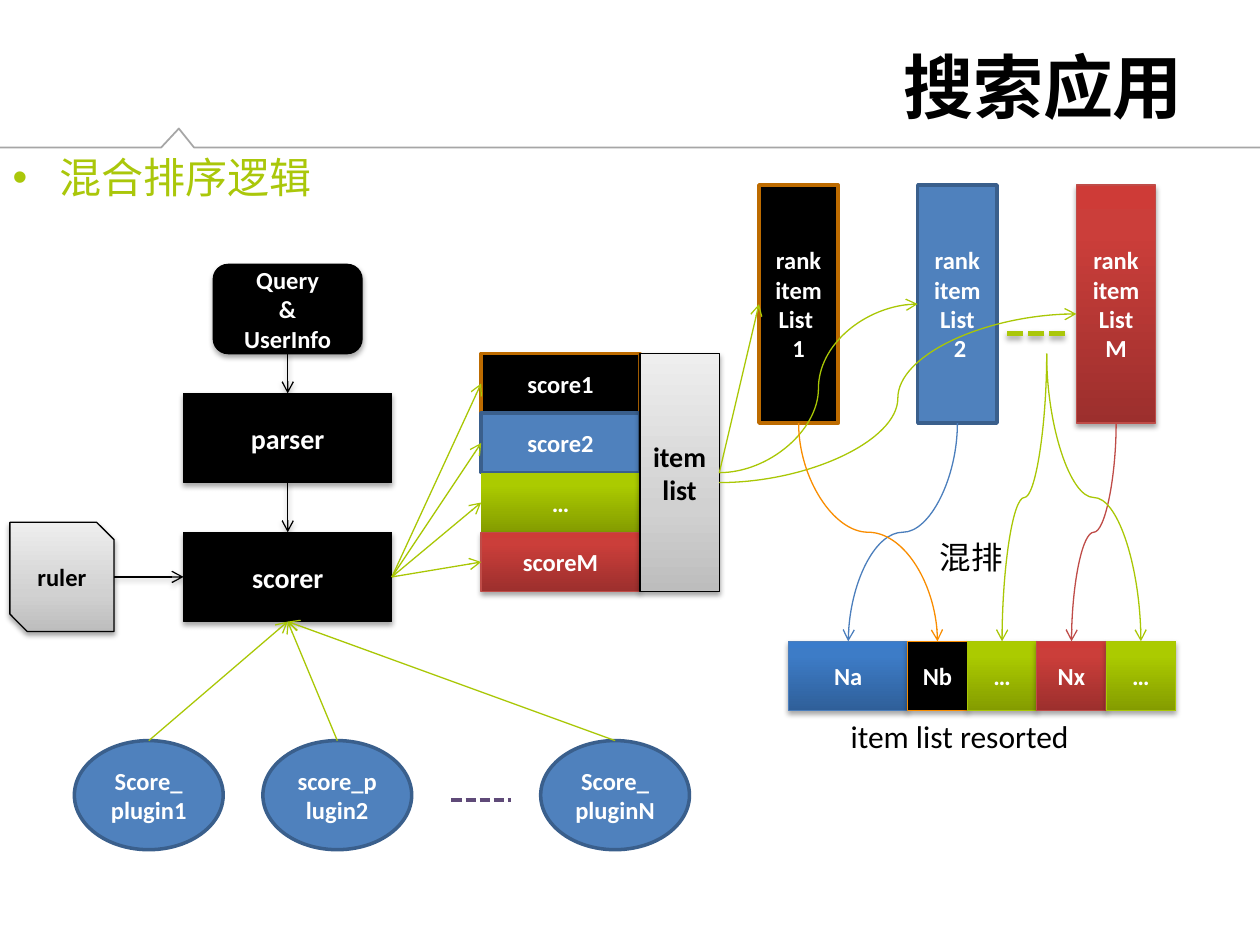
from copy import deepcopy

from lxml import etree
from pptx import Presentation
from pptx import util as u
from pptx.dml.color import RGBColor
from pptx.enum import dml, shapes, text
from pptx.oxml.ns import qn

THEME = {
    "font": "Calibri",
    "black": "000000", "white": "FFFFFF", "rule": "A6A6A6",
    "lime": "AAC70A", "green": "A9C705", "orange": "F98D00",
    "blue": "4B7EBC", "red": "BF4C48", "purple": "5F4A78",
    "title": 40, "list": 24, "note": 18, "large": 16, "small": 14,
}
# Style: fill stops, line colour, line width, has shadow, text colour
STYLES = {
    "black": (["000000"], "000000", 0.75, True, "white"),
    "black_orange": (["000000"], "BD6B00", 2, False, "white"),
    "black_thin_orange": (["000000"], "F98D00", 0.75, True, "white"),
    "flat_blue": (["4F81BD"], "3A5F8C", 2, False, "white"),
    "blue": (["2F5F99", "3D7CC7", "3A7CCB"], "4B7EBC", 0.75, True, "white"),
    "green": (["849C00", "ABCB00", "ACCB00"], "A9C705", 0.75, True, "white"),
    "green_plain": (["849C00", "ABCB00", "ACCB00"], None, 0, False, "white"),
    "red": (["9C2F2D", "CB3E3A", "CE3B37"], "BF4C48", 0.75, True, "white"),
    "gray": (["BDBDBD", "D1D1D1", "EEEEEE"], "000000", 0.75, True, "black"),
}
# The grid has 254 columns and 190 rows of one millimetre
COLUMN = ROW = u.Mm(1)
TOP = u.Mm(0.3)


def outline(shape, color, width, shadowed):
    """Set the line and state the shadow, for boxes and connectors alike."""
    if color:
        shape.line.color.rgb = RGBColor.from_string(color)
        shape.line.width = u.Pt(width)
    else:
        shape.line.fill.background()
    effects = etree.SubElement(shape._element.spPr, qn("a:effectLst"))
    if shadowed:
        shadow = etree.SubElement(effects, qn("a:outerShdw"), blurRad=str(u.Pt(3.1)),
                                  dist=str(u.Pt(1.8)), dir="5400000", rotWithShape="0")
        black = etree.SubElement(shadow, qn("a:srgbClr"), val=THEME["black"])
        etree.SubElement(black, qn("a:alpha"), val="35000")


def write(shape, words, size, color, bold=False, align=None):
    shape.text_frame.text = words
    shape.text_frame.word_wrap = True
    for paragraph in shape.text_frame.paragraphs:
        paragraph.alignment = align
        for run in paragraph.runs:
            run.font.name = THEME["font"]
            run.font.size = u.Pt(THEME[size])
            run.font.bold = bold
            run.font.color.rgb = RGBColor.from_string(THEME[color])


presentation = Presentation()
presentation.slide_width, presentation.slide_height = u.Inches(10), u.Inches(7.5)
slide = presentation.slides.add_slide(presentation.slide_layouts[1])

# Title, list and the notched rule between them
title, body = slide.placeholders
title.left, title.top, title.width, title.height = (
    13 * COLUMN, 7 * ROW + TOP, 228 * COLUMN, 20 * ROW)
write(title, "搜索应用", "title", "black", True, text.PP_ALIGN.RIGHT)
title.text_frame.vertical_anchor = text.MSO_ANCHOR.MIDDLE
body.left, body.top = 0, 29 * ROW + TOP
body.width, body.height = presentation.slide_width, presentation.slide_height - body.top
write(body, "混合排序逻辑", "list", "lime")
body.text_frame.paragraphs[0].space_before = u.Pt(0)

# Points in hundredths of an inch
builder = slide.shapes.build_freeform(0, 117, scale=u.Inches(0.01))
builder.add_line_segments([(128, 117), (142, 102), (154, 117), (1000, 117)], close=False)
rule = builder.convert_to_shape()
rule.fill.background()
outline(rule, THEME["rule"], 1, False)

# Boxes: name, preset, column, row, columns, rows, label, style, text size
PRESET = shapes.MSO_SHAPE
RECTANGLE = PRESET.RECTANGLE
boxes = [
    ("parser", RECTANGLE, 37, 79, 42, 18, "parser", "black", "large"),
    ("query", PRESET.FLOWCHART_ALTERNATE_PROCESS, 43, 53, 30, 18,
     "Query\n&\nUserInfo", "black", "small"),
    ("scorer", RECTANGLE, 37, 107, 42, 18, "scorer", "black", "large"),
    ("ruler", PRESET.SNIP_2_DIAG_RECTANGLE, 2, 105, 21, 22, "ruler", "gray", "small"),
]
plugins = [(109, "Score_pluginN"), (15, "Score_plugin1"), (53, "score_plugin2")]
for column, label in plugins:
    boxes.append((label, PRESET.OVAL, column, 149, 30, 22, label, "flat_blue", "small"))
scores = [("score1", "black_orange"), ("score2", "flat_blue"),
          ("…", "green_plain"), ("scoreM", "red")]
for index, (label, style) in enumerate(scores):
    boxes.append((f"score {index}", RECTANGLE, 97, 71 + 12 * index, 32, 12,
                  label, style, "small"))
boxes.append(("items", RECTANGLE, 129, 71, 16, 48, "item\nlist", "gray", "large"))
ranks = [("List \n1", "black_orange"), ("List\n 2", "flat_blue"), ("List M", "red")]
for index, (label, style) in enumerate(ranks):
    boxes.append((f"rank {index}", RECTANGLE, 153 + 32 * index, 37, 16, 48,
                  "rank\nitem\n" + label, style, "small"))
column = 159
for label, width, style in [("Na", 24, "blue"), ("Nb", 12, "black_thin_orange"),
                            ("…", 14, "green"), ("Nx", 14, "red"), ("…", 14, "green")]:
    boxes.append((f"mix {column}", RECTANGLE, column, 129, width, 14, label, style, "small"))
    column += width

drawn = {}
for name, preset, column, row, width, height, label, style, size in boxes:
    stops, line_color, line_width, shadowed, text_color = STYLES[style]
    box = slide.shapes.add_shape(preset, column * COLUMN, row * ROW + TOP,
                                 width * COLUMN, height * ROW)
    if len(stops) == 1:
        box.fill.solid()
        box.fill.fore_color.rgb = RGBColor.from_string(stops[0])
    else:
        box.fill.gradient()
        box.fill.gradient_angle = 90
        stop_list = box._element.spPr.find(qn("a:gradFill")).find(qn("a:gsLst"))
        stop_list.insert(1, deepcopy(stop_list[0]))
        positions = (0, 0.35, 1) if style == "gray" else (0, 0.8, 1)
        for stop, color, position in zip(box.fill.gradient_stops, stops, positions):
            stop.color.rgb = RGBColor.from_string(color)
            stop.position = position
    outline(box, line_color, line_width, shadowed)
    write(box, label, size, text_color, True, text.PP_ALIGN.CENTER)
    box.text_frame.vertical_anchor = text.MSO_ANCHOR.MIDDLE
    drawn[name] = box

# Straight arrows: start box and side, end box and side, colour
TOP_SIDE, LEFT_SIDE, BOTTOM_SIDE, RIGHT_SIDE = range(4)
arrows = [("query", BOTTOM_SIDE, "parser", TOP_SIDE, "black"),
          ("parser", BOTTOM_SIDE, "scorer", TOP_SIDE, "black"),
          ("items", RIGHT_SIDE, "rank 0", LEFT_SIDE, "green"),
          ("ruler", None, "scorer", LEFT_SIDE, "black")]
arrows += [(label, TOP_SIDE, "scorer", BOTTOM_SIDE, "green") for _, label in plugins]
arrows += [("scorer", RIGHT_SIDE, f"score {index}", LEFT_SIDE, "green")
           for index in range(len(scores))]
arrowed = []
for start, start_side, end, end_side, color in arrows:
    source = drawn[start]
    arrow = slide.shapes.add_connector(
        shapes.MSO_CONNECTOR.STRAIGHT, source.left + source.width,
        source.top + source.height // 2, 0, 0)
    if start_side is not None:
        arrow.begin_connect(source, start_side)
    arrow.end_connect(drawn[end], end_side)
    outline(arrow, THEME[color], 0.75, color == "black")
    arrowed.append(arrow)

# Curved arrows: start column and row, end column and row, colour, leaves downwards
curves = [(145, 95, 185, 61, "green", False), (145, 97, 217, 63, "green", False),
          (193, 85, 171, 129, "blue", True), (161, 85, 189, 129, "orange", True),
          (211, 71, 202, 129, "green", True), (225, 85, 216, 129, "red", True),
          (211, 71, 230, 129, "green", True)]
for x1, y1, x2, y2, color, downwards in curves:
    left, top, right, bottom = x1, y1, x2, y2
    if downwards:  # lay the curve flat around its centre, then turn it
        across, down = abs(x2 - x1), y2 - y1
        left, top = (x1 + x2 - down) / 2, (y1 + y2 - across) / 2
        right, bottom = left + down, top + across
    curve = slide.shapes.add_connector(
        shapes.MSO_CONNECTOR.CURVE, int(left * COLUMN), int(top * ROW) + TOP,
        int(right * COLUMN), int(bottom * ROW) + TOP)
    if downwards:
        transform = curve._element.spPr.find(qn("a:xfrm"))
        transform.set("rot", str((90 if x2 < x1 else 270) * 60000))
        if x2 > x1:
            transform.set("flipH", "1")
    outline(curve, THEME[color], 0.75, False)
    arrowed.append(curve)

for arrow in arrowed:
    etree.SubElement(arrow.line._get_or_add_ln(), qn("a:tailEnd"), type="arrow")

# Dashes that stand for the boxes left out
for column, row, color, width, shadowed in [(91, 161, "purple", 2, False),
                                            (203, 67, "lime", 3, True)]:
    dash = slide.shapes.add_connector(
        shapes.MSO_CONNECTOR.STRAIGHT, column * COLUMN, row * ROW + TOP,
        (column + 12) * COLUMN, row * ROW + TOP)
    outline(dash, THEME[color], width, shadowed)
    dash.line.dash_style = dml.MSO_LINE.SQUARE_DOT

for column, row, width, words in [(187, 107, 20, "混排"), (169, 143, 54, "item list resorted")]:
    note = slide.shapes.add_textbox(column * COLUMN, row * ROW + TOP, width * COLUMN, 10 * ROW)
    write(note, words, "note", "black")

presentation.save("out.pptx")
